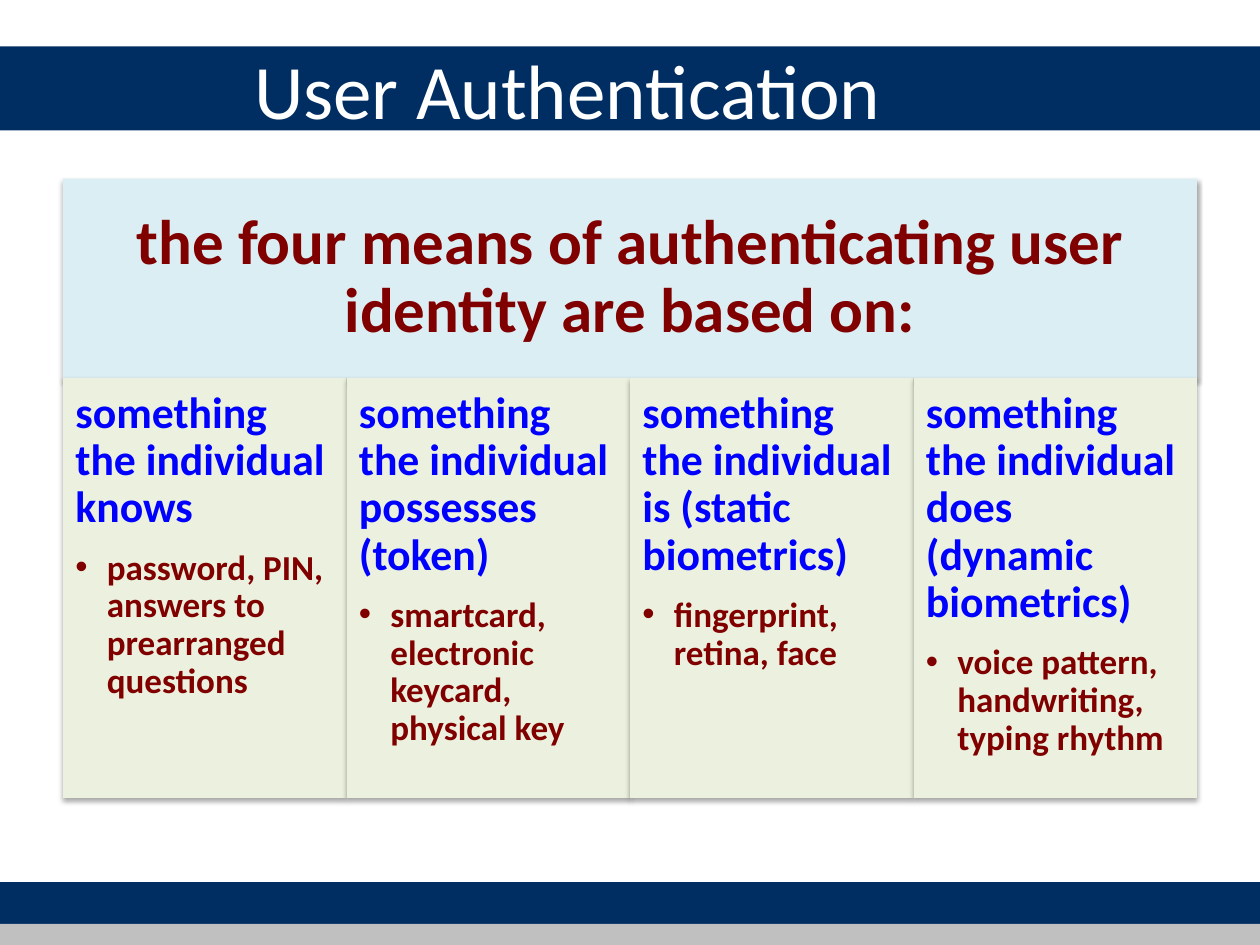
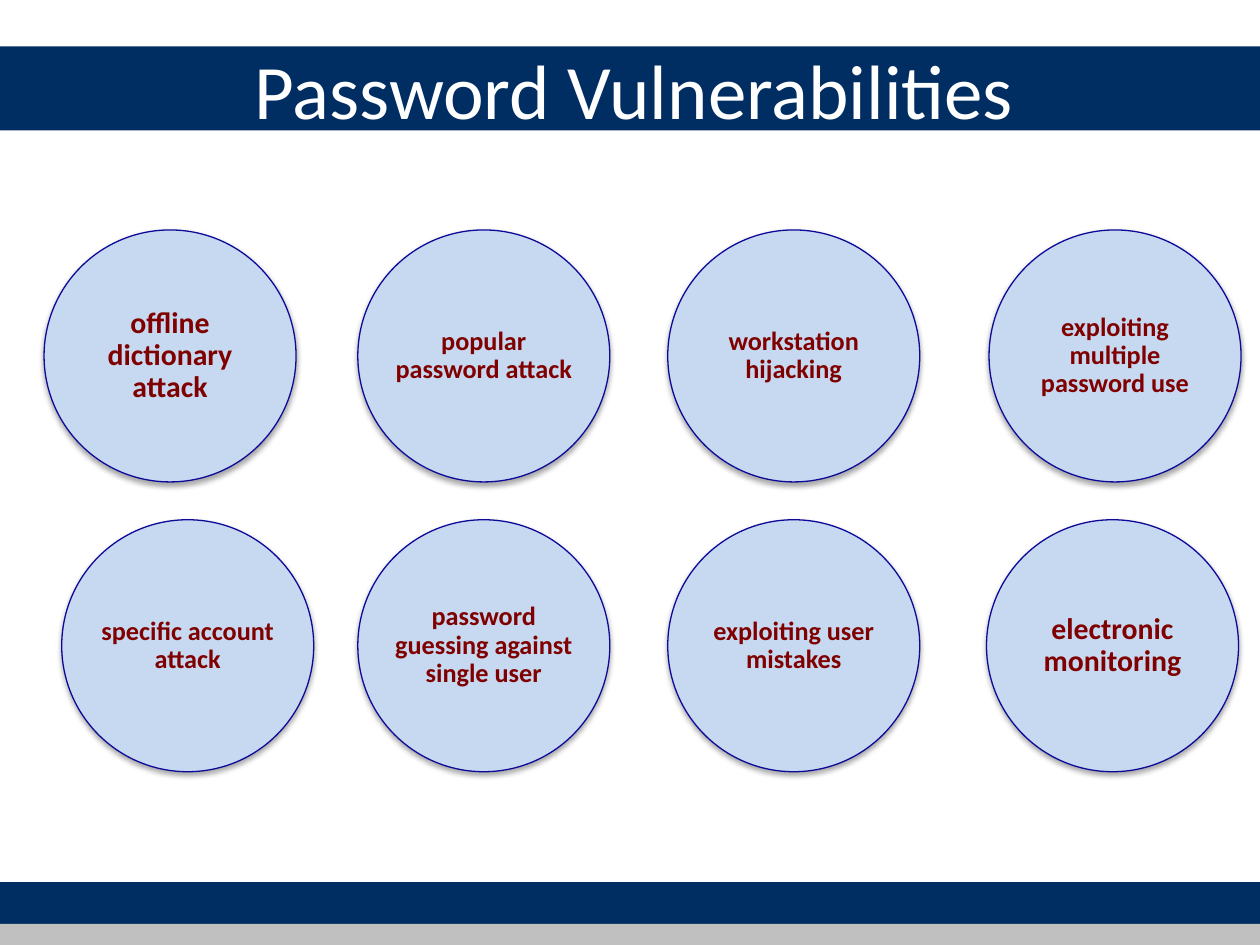
from dataclasses import dataclass

from lxml.etree import SubElement as Sub
from pptx import Presentation
from pptx.dml.color import RGBColor as RGB
from pptx.enum.shapes import MSO_SHAPE as Kind
from pptx.enum.text import MSO_ANCHOR as Anchor, PP_ALIGN as Align
from pptx.oxml.ns import qn
from pptx.util import Inches, Pt


@dataclass(frozen=True)
class Theme:
    font: str = "Calibri"
    navy: str = "002E62"
    gray: str = "C0C0C0"
    white: str = "FFFFFF"
    aqua: str = "DBEEF4"
    sage: str = "EBF1DE"
    sky: str = "C6D9F1"
    ink: str = "0E0A99"
    maroon: str = "800000"
    blue: str = "0000FF"
    title: int = 44
    lead: int = 36
    head: int = 25
    item: int = 20
    large: int = 17
    small: int = 15


T = Theme()
WIDE, HIGH = Inches(10), Inches(7.5)
COLS = 40
UNIT = WIDE // COLS  # one grid column, and one grid row

# top and height in grid rows
BANDS = [(28, 1.33, T.navy), (1.47, 2.67, T.navy), (29.33, 0.67, T.gray)]

MEANS = [
    ("something the individual knows",
     "password, PIN, answers to prearranged questions"),
    ("something the individual possesses (token)",
     "smartcard, electronic keycard, physical key"),
    ("something the individual is (static biometrics)",
     "fingerprint, retina, face"),
    ("something the individual does (dynamic biometrics)",
     "voice pattern, handwriting, typing rhythm"),
]

# row top, then left edge, label and type size of each circle
RISKS = [
    (7.3, [(1.4, "offline dictionary attack", T.large),
           (11.36, "popular password attack", T.small),
           (21.2, "workstation hijacking", T.small),
           (31.4, "exploiting multiple password use", T.small)]),
    (16.5, [(1.96, "specific account attack", T.small),
            (11.36, "password guessing against single user", T.small),
            (21.2, "exploiting user mistakes", T.small),
            (31.32, "electronic monitoring", T.large)]),
]


def grid(*cells):
    return [round(cell * UNIT) for cell in cells]


def add_run(para, text, size, color, bold=True):
    run = para.add_run()
    run.text = text
    font = run.font
    font.name, font.size, font.bold = T.font, Pt(size), bold
    font.color.rgb = RGB.from_string(color)


def add_form(slide, kind, cells, fill, line=None):
    form = slide.shapes.add_shape(kind, *grid(*cells))
    form.shadow.inherit = False
    form.fill.solid()
    form.fill.fore_color.rgb = RGB.from_string(fill)
    if line:
        form.line.color.rgb = RGB.from_string(line)
        form.line.width = Pt(0.75)
    else:
        form.line.fill.background()
    return form


def cast(form):
    """Give the form a soft shadow below it."""
    effects = form.element.spPr.find(qn("a:effectLst"))
    shade = Sub(effects, qn("a:outerShdw"), blurRad=str(Pt(3.1)),
                dist=str(Pt(1.8)), dir="5400000", rotWithShape="0")
    black = Sub(shade, qn("a:srgbClr"), val="000000")
    Sub(black, qn("a:alpha"), val="35000")


def set_frame(form, inset, anchor):
    """Prepare the text frame and return its first paragraph."""
    frame = form.text_frame
    frame.word_wrap = True
    frame.vertical_anchor = anchor
    frame.margin_left = frame.margin_right = Inches(inset)
    frame.margin_top = frame.margin_bottom = Inches(inset)
    para = frame.paragraphs[0]
    para.line_spacing = 0.9
    return para


def add_label(form, text, size, inset):
    para = set_frame(form, inset, Anchor.MIDDLE)
    para.alignment = Align.CENTER
    add_run(para, text, size, T.maroon)


def add_panel(slide, cells, head, item):
    form = add_form(slide, Kind.RECTANGLE, cells, T.sage)
    cast(form)
    first = set_frame(form, 0.1, Anchor.TOP)
    first.alignment = Align.LEFT
    first.space_after = Pt(10)
    add_run(first, head, T.head, T.blue)

    point = form.text_frame.add_paragraph()
    props = point._p.get_or_add_pPr()
    props.set("marL", str(Inches(0.25)))
    props.set("indent", str(-Inches(0.25)))
    Sub(props, qn("a:buFont"), typeface="Arial")
    Sub(props, qn("a:buChar"), char="•")
    point.level = 1
    point.alignment = Align.LEFT
    point.line_spacing = 0.9
    add_run(point, item, T.item, T.maroon)


def add_circle(slide, left, top, text, size):
    form = add_form(slide, Kind.OVAL, (left, top, 8, 8), T.sky, T.ink)
    cast(form)
    add_label(form, text, size, -0.05)


def add_page(deck, text):
    slide = deck.slides.add_slide(deck.slide_layouts[5])
    title = slide.shapes.title
    title.left, title.top, title.width, title.height = grid(7.67, 0.33, 31.67, 5)
    title.text_frame.vertical_anchor = Anchor.MIDDLE
    para = title.text_frame.paragraphs[0]
    para.alignment = Align.LEFT
    add_run(para, text, T.title, T.white, bold=False)
    return slide


def set_bands(deck, slide):
    """Draw the bands and move them to the master, behind its placeholders."""
    tree = deck.slide_master.shapes.element
    for spot, (top, high, fill) in enumerate(BANDS, start=2):
        band = add_form(slide, Kind.RECTANGLE, (0, top, COLS, high), fill)
        tree.insert(spot, band.element)


def fill_means(slide):
    lead = add_form(slide, Kind.RECTANGLE, (2, 5.67, 36, 6.33), T.aqua)
    cast(lead)
    add_label(lead, "the four means of authenticating user identity are based on:",
              T.lead, 0.15)
    wide = 36 / len(MEANS)
    for col, (head, item) in enumerate(MEANS):
        add_panel(slide, (2 + col * wide, 12, wide, 13.33), head, item)


def fill_risks(slide):
    for top, row in RISKS:
        for left, text, size in row:
            add_circle(slide, left, top, text, size)


def main():
    deck = Presentation()
    deck.slide_width, deck.slide_height = WIDE, HIGH
    means = add_page(deck, "User Authentication")
    set_bands(deck, means)
    fill_means(means)
    fill_risks(add_page(deck, "Password Vulnerabilities"))
    deck.save("out.pptx")


if __name__ == "__main__":
    main()
